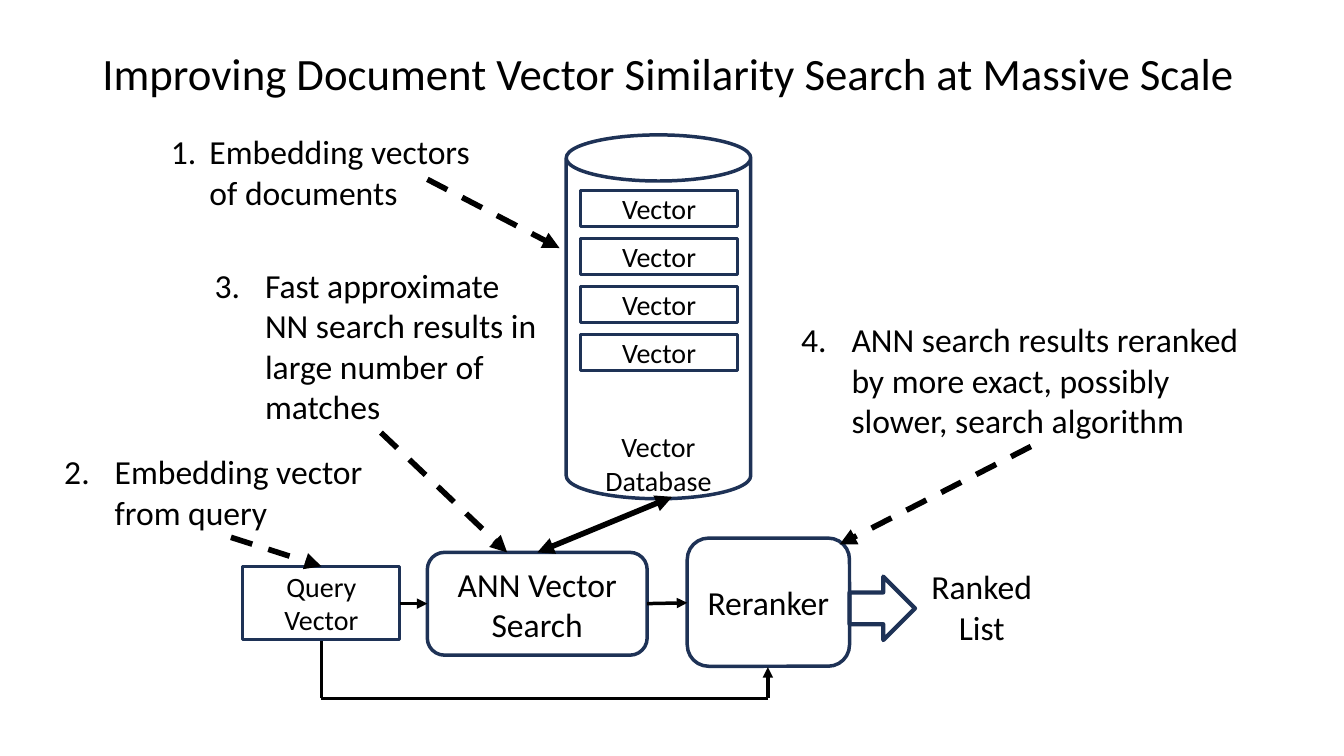
from pptx import Presentation
from pptx.dml.color import RGBColor
from pptx.enum.dml import MSO_LINE
from pptx.enum.shapes import MSO_CONNECTOR, MSO_SHAPE
from pptx.enum.text import MSO_ANCHOR, PP_ALIGN
from pptx.oxml.ns import qn
from pptx.util import Cm, Pt
from lxml import etree

CAN, RECT = MSO_SHAPE.CAN, MSO_SHAPE.RECTANGLE
ROUND, ARROW = MSO_SHAPE.ROUNDED_RECTANGLE, MSO_SHAPE.RIGHT_ARROW
STRAIGHT, DASH = MSO_CONNECTOR.STRAIGHT, MSO_LINE.DASH
TOP, MIDDLE = MSO_ANCHOR.TOP, MSO_ANCHOR.MIDDLE
LEFT, CENTER = PP_ALIGN.LEFT, PP_ALIGN.CENTER


class Theme:
    font = "Calibri"
    ink = RGBColor(0x00, 0x00, 0x00)
    outline = RGBColor(0x1E, 0x32, 0x56)
    title, body, small = Pt(32), Pt(24), Pt(20)
    thin, medium, wide, heavy = Pt(2), Pt(2.5), Pt(3), Pt(4)


# Content: boxes are (left, top, width, height) in centimetres
TITLE = ("Improving Document Vector Similarity Search at Massive Scale",
         (2.33, 0.61, 29.21, 2.59))
DATABASE = (14.27, 3.4, 4.65, 9.17)
DATABASE_LABEL = ("Vector Database", (14.27, 11.3, 4.65, 0.74))
VECTOR_COUNT, VECTOR_PITCH = 4, 1.21
FIRST_VECTOR = (14.63, 4.8, 3.96, 0.91)
STAGES = [  # shape, text, box, text size, outline width
    (RECT, "Query Vector", (6.12, 14.27, 3.96, 1.85), Theme.small, Theme.thin),
    (ROUND, "ANN Vector Search", (10.77, 13.92, 5.54, 2.59), Theme.body, Theme.medium),
    (ROUND, "Reranker", (17.32, 13.56, 4.09, 3.23), Theme.body, Theme.medium),
    (ARROW, "", (21.41, 14.53, 1.65, 1.6), Theme.body, Theme.wide),
]
RESULT = ("Ranked List", (22.91, 13.67, 3.66, 3.23))
NOTES = [  # text, box, hanging indent, dashed arrow
    ("Embedding vectors of documents", (4.06, 3.18, 8.86, 2.31), 0.97,
     (10.77, 4.52, 14.1, 6.25)),
    ("Embedding vector from query", (1.37, 11.25, 8.86, 2.31), 1.27,
     (5.82, 13.54, 8.1, 14.27)),
    ("Fast approximate NN search results in large number of matches",
     (5.16, 6.55, 8.86, 4.37), 1.27, (9.6, 10.9, 12.78, 13.92)),
    ("ANN search results reranked by more exact, possibly slower, search algorithm",
     (19.94, 7.92, 12.07, 3.33), 1.27, (25.98, 11.25, 21.16, 13.72)),
]
FLOWS = [(10.08, 15.21, 10.77, 15.21), (16.31, 15.21, 17.32, 15.19)]
LOOKUP = (16.94, 12.52, 13.54, 13.92)
BYPASS_LEFT, BYPASS_RIGHT, BYPASS_BOTTOM = 8.1, 19.35, 17.6
QUERY_BOTTOM, RERANKER_BOTTOM = 16.15, 16.81

deck = Presentation()
deck.slide_width, deck.slide_height = Cm(33.87), Cm(19.05)
page = deck.slides.add_slide(deck.slide_layouts[6])


def write(box, text, size, align=CENTER, anchor=MIDDLE, number=None, indent=0):
    frame = box.text_frame
    frame.word_wrap = True
    frame.vertical_anchor = anchor
    para = frame.paragraphs[0]
    para.text = text
    para.alignment = align
    if number:
        properties = para._p.get_or_add_pPr()
        properties.set("marL", str(Cm(indent)))
        properties.set("indent", str(-Cm(indent)))
        etree.SubElement(properties, qn("a:buFont"), typeface="+mj-lt")
        etree.SubElement(properties, qn("a:buAutoNum"),
                         type="arabicPeriod", startAt=str(number))
    para.font.name, para.font.size = Theme.font, size
    para.font.color.rgb = Theme.ink
    return para


def add_label(text, box, size, **layout):
    return write(page.shapes.add_textbox(*map(Cm, box)), text, size, **layout)


def add_outline(kind, box, width, text="", size=Theme.small):
    shape = page.shapes.add_shape(kind, *map(Cm, box))
    shape.shadow.inherit = False
    shape.fill.background()
    shape.line.color.rgb, shape.line.width = Theme.outline, width
    if text:
        write(shape, text, size)


def add_line(ends, width=Theme.medium, dashed=False, heads=("tailEnd",)):
    line = page.shapes.add_connector(STRAIGHT, *map(Cm, ends))
    line.line.color.rgb, line.line.width = Theme.ink, width
    if dashed:
        line.line.dash_style = DASH
    stroke = line.line._get_or_add_ln()
    for head in heads:
        etree.SubElement(stroke, qn(f"a:{head}"), type="triangle")
    etree.SubElement(line._element.spPr, qn("a:effectLst"))


# Title
add_label(*TITLE, Theme.title, align=LEFT).line_spacing = 0.9

# Vector database
add_outline(CAN, DATABASE, Theme.medium)
left, top, width, height = FIRST_VECTOR
for row in range(VECTOR_COUNT):
    add_outline(RECT, (left, top + row * VECTOR_PITCH, width, height),
                Theme.thin, "Vector")
add_label(*DATABASE_LABEL, Theme.small)

# Search pipeline
for kind, text, box, size, outline in STAGES:
    add_outline(kind, box, outline, text, size)
add_label(*RESULT, Theme.body)
for flow in FLOWS:
    add_line(flow)
add_line(LOOKUP, Theme.heavy, heads=("headEnd", "tailEnd"))

# Numbered notes with their arrows
for number, (text, box, indent, pointer) in enumerate(NOTES, 1):
    add_label(text, box, Theme.body, align=LEFT, anchor=TOP,
              number=number, indent=indent)
    add_line(pointer, Theme.heavy, dashed=True)

# Query bypass to the reranker
add_line((BYPASS_RIGHT, BYPASS_BOTTOM, BYPASS_RIGHT, RERANKER_BOTTOM))
add_line((BYPASS_LEFT, BYPASS_BOTTOM, BYPASS_LEFT, QUERY_BOTTOM), heads=())
add_line((BYPASS_LEFT, BYPASS_BOTTOM, BYPASS_RIGHT, BYPASS_BOTTOM), heads=())

deck.save("out.pptx")
